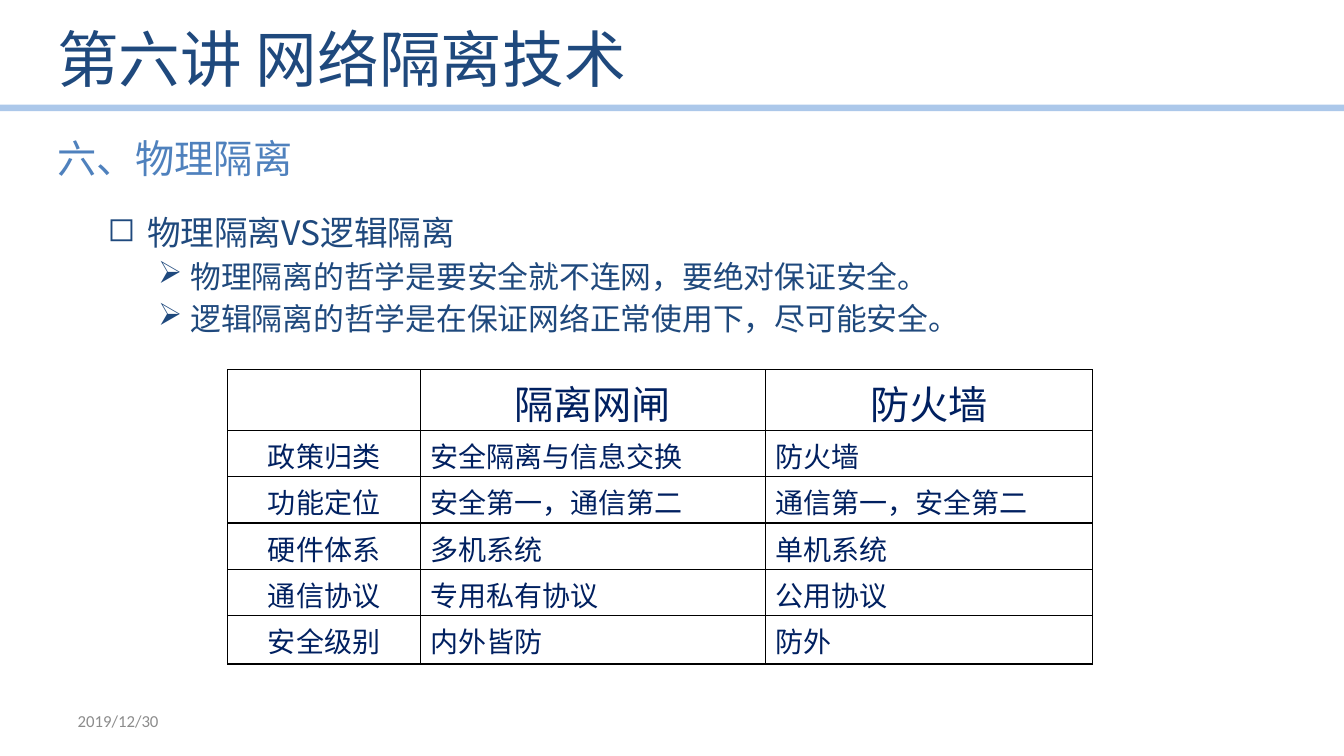
from dataclasses import dataclass

from lxml.etree import SubElement
from pptx import Presentation
from pptx.dml.color import RGBColor
from pptx.enum.shapes import MSO_CONNECTOR as Conn
from pptx.enum.text import MSO_ANCHOR as Anchor, PP_ALIGN as Align
from pptx.oxml.ns import qn
from pptx.util import Emu, Inches, Pt


@dataclass(frozen=True)
class Theme:
    cjk: str = "Noto Sans CJK SC"
    latin: str = "Calibri"
    title: str = "1F497D"
    section: str = "4F81BD"
    cell: str = "002060"
    date: str = "8C8C8C"
    rule: str = "8EB4E3"
    border: str = "000000"
    title_size: int = 44
    heading_size: int = 28
    topic_size: int = 24
    point_size: int = 22
    cell_size: int = 20
    date_size: int = 12
    rule_width: float = 4.75


@dataclass(frozen=True)
class Box:
    left: float
    top: float
    width: float
    height: float


@dataclass(frozen=True)
class Label:
    text: str
    box: Box
    size: int
    color: str
    font: str
    anchor: Anchor = Anchor.TOP
    wrap: bool = True


@dataclass(frozen=True)
class Bullet:
    text: str
    mark: str
    size: int
    indent: float
    hanging: float
    level: int


T = Theme()
WIDTH, HEIGHT = Inches(13.33), Inches(7.5)

LABELS = [
    Label("第六讲 网络隔离技术", Box(3.53, 1.2, 82.67, 12.93),
          T.title_size, T.title, T.cjk, Anchor.MIDDLE),
    Label("六、物理隔离", Box(3.53, 17.07, 19.2, 7.6),
          T.heading_size, T.section, T.cjk, wrap=False),
    Label("2019/12/30", Box(5.03, 92.67, 23.33, 5.33),
          T.date_size, T.date, T.latin, Anchor.MIDDLE),
]
BODY = Box(3.53, 27.33, 92.12, 58.4)
BULLETS = [
    Bullet("物理隔离VS逻辑隔离", "◻", T.topic_size, 6.68, 2.93, 1),
    Bullet("物理隔离的哲学是要安全就不连网，要绝对保证安全。", "➢", T.point_size, 9.9, 2.4, 2),
    Bullet("逻辑隔离的哲学是在保证网络正常使用下，尽可能安全。", "➢", T.point_size, 9.9, 2.4, 2),
]
GRID = Box(16.95, 48.93, 64.37, 38.92)
COLUMNS = [14.33, 25.66, 24.38]
ROWS = [8, *[6.13] * 4, 6.4]
CELLS = [
    ["", "隔离网闸", "防火墙"],
    ["政策归类", "安全隔离与信息交换", "防火墙"],
    ["功能定位", "安全第一，通信第二", "通信第一，安全第二"],
    ["硬件体系", "多机系统", "单机系统"],
    ["通信协议", "专用私有协议", "公用协议"],
    ["安全级别", "内外皆防", "防外"],
]


def across(share: float) -> Emu:
    return Emu(round(WIDTH * share / 100))


def down(share: float) -> Emu:
    return Emu(round(HEIGHT * share / 100))


def place(box: Box) -> tuple:
    return across(box.left), down(box.top), across(box.width), down(box.height)


def write(p, text: str, *, size: int, color: str, font: str = T.cjk,
          align: Align = Align.LEFT, before: float = 0) -> None:
    p.alignment = align
    p.space_before = Pt(before)
    r = p.add_run()
    r.text = text
    r.font.size = Pt(size)
    r.font.name = font
    r.font.bold = False
    r.font.color.rgb = RGBColor.from_string(color)
    SubElement(r.font._element, qn("a:ea"), typeface=font)


def add_frame(s, box: Box, anchor: Anchor = Anchor.TOP, wrap: bool = True):
    tf = s.shapes.add_textbox(*place(box)).text_frame
    tf.word_wrap = wrap
    tf.vertical_anchor = anchor
    return tf


def add_rule(s) -> None:
    y = down(14.27)
    line = s.shapes.add_connector(Conn.STRAIGHT, 0, y, WIDTH, y)
    line.line.width = Pt(T.rule_width)
    line.line.color.rgb = RGBColor.from_string(T.rule)
    sp_pr = line._element.spPr
    SubElement(sp_pr.find(".//" + qn("a:srgbClr")), qn("a:alpha"), val="73000")
    SubElement(sp_pr, qn("a:effectLst"))


def add_label(s, label: Label) -> None:
    tf = add_frame(s, label.box, label.anchor, label.wrap)
    write(tf.paragraphs[0], label.text, size=label.size, color=label.color, font=label.font)


def add_bullets(s, bullets: list[Bullet]) -> None:
    tf = add_frame(s, BODY)
    for i, b in enumerate(bullets):
        p = tf.add_paragraph() if i else tf.paragraphs[0]
        p.level = b.level
        write(p, b.text, size=b.size, color=T.title, align=Align.JUSTIFY,
              before=4 if i else 0)
        p_pr = p._p.get_or_add_pPr()
        p_pr.set("marL", str(across(b.indent)))
        p_pr.set("indent", str(-across(b.hanging)))
        SubElement(p_pr, qn("a:buChar"), char=b.mark)


def style_cell(cell) -> None:
    tc_pr = cell._tc.get_or_add_tcPr()
    for side in ("lnL", "lnR", "lnT", "lnB"):
        ln = SubElement(tc_pr, qn("a:" + side), w=str(Pt(1)))
        SubElement(SubElement(ln, qn("a:solidFill")), qn("a:srgbClr"), val=T.border)
    cell.fill.background()
    cell.margin_top, cell.margin_bottom = down(0.6), 0


def add_grid(s) -> None:
    table = s.shapes.add_table(len(ROWS), len(COLUMNS), *place(GRID)).table
    table.first_row = table.horz_banding = False
    for column, share in zip(table.columns, COLUMNS):
        column.width = across(share)
    for row, share in zip(table.rows, ROWS):
        row.height = down(share)
    for i, texts in enumerate(CELLS):
        for j, text in enumerate(texts):
            cell = table.cell(i, j)
            style_cell(cell)
            if text:
                write(cell.text_frame.paragraphs[0], text, color=T.cell,
                      size=T.cell_size if i else T.heading_size,
                      align=Align.LEFT if i and j else Align.CENTER)


def main() -> None:
    prs = Presentation()
    prs.slide_width, prs.slide_height = WIDTH, HEIGHT
    s = prs.slides.add_slide(prs.slide_layouts[6])
    add_rule(s)
    for label in LABELS:
        add_label(s, label)
    add_bullets(s, BULLETS)
    add_grid(s)
    prs.save("out.pptx")


if __name__ == "__main__":
    main()
